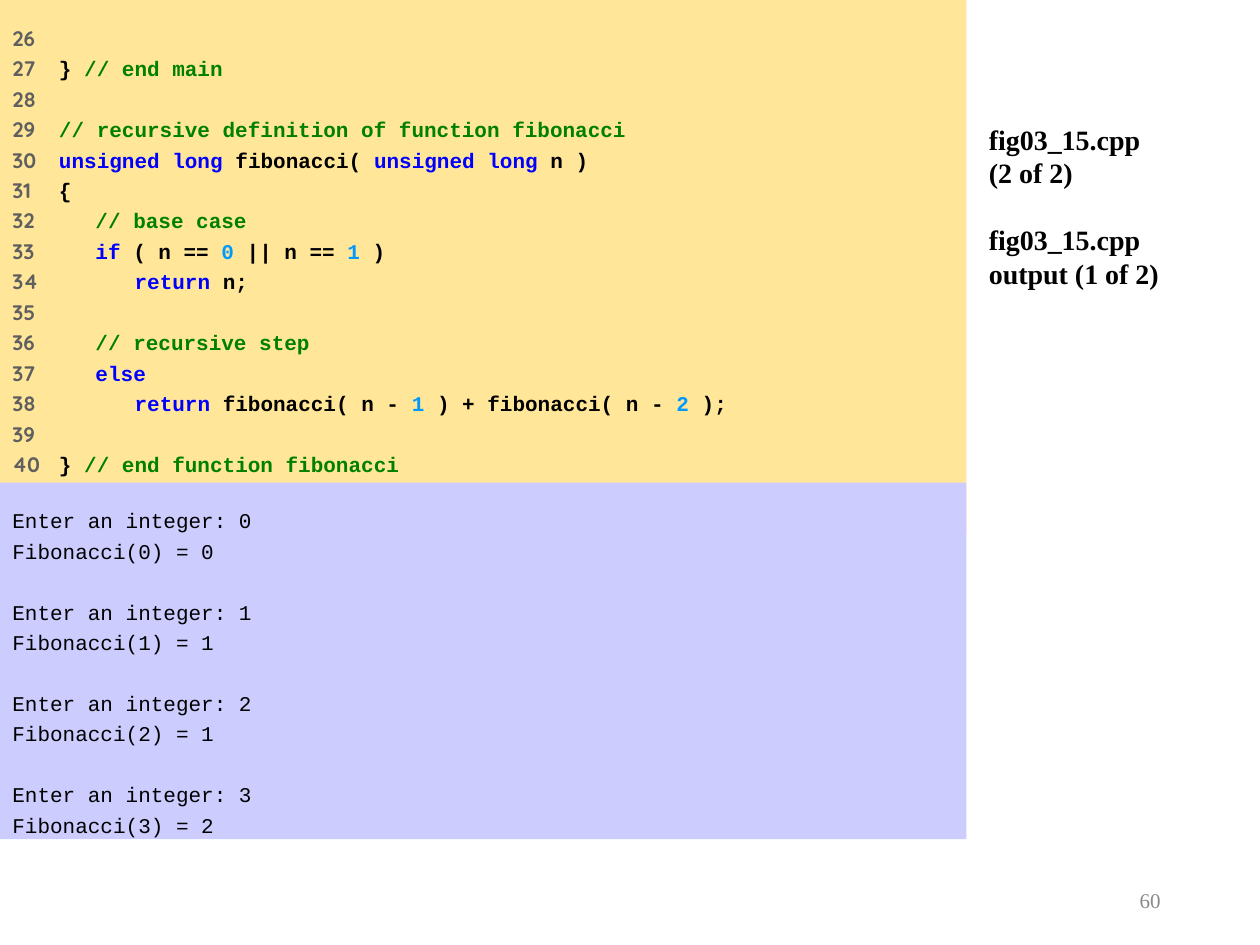
from lxml.etree import SubElement
from pptx import Presentation
from pptx.dml.color import RGBColor
from pptx.enum.shapes import MSO_SHAPE
from pptx.enum.text import MSO_ANCHOR, PP_ALIGN
from pptx.oxml.ns import qn
from pptx.util import Inches, Pt

COLORS = {
    "code_bg": "FFE699", "output_bg": "CCCCFF", "line_no": "5F5F5F",
    "plain": "000000", "comment": "008000", "keyword": "0000FF",
    "number": "0099FF", "page": "898989",
}
MONO, ROUND, SERIF = "Courier New", "Quicksand", "Times New Roman"
FIRST_LINE = 26
CODE_STOPS = (0.37, 0.66, 0.97)

# One entry per line: indent level, then (kind, text) pieces
CODE = [
    (0,),
    (0, ("plain", "} "), ("comment", "// end main")),
    (0,),
    (0, ("comment", "// recursive definition of function fibonacci")),
    (0, ("keyword", "unsigned long"), ("plain", " fibonacci( "),
     ("keyword", "unsigned long"), ("plain", " n )")),
    (0, ("plain", "{")),
    (1, ("comment", "// base case")),
    (1, ("keyword", "if"), ("plain", " ( n == "), ("number", "0"),
     ("plain", " || n == "), ("number", "1"), ("plain", " )")),
    (2, ("keyword", "return"), ("plain", " n;")),
    (0,),
    (1, ("comment", "// recursive step")),
    (1, ("keyword", "else")),
    (2, ("keyword", "return"), ("plain", " fibonacci( n - "), ("number", "1"),
     ("plain", " ) + fibonacci( n - "), ("number", "2"), ("plain", " );")),
    (0,),
    (0, ("plain", "} "), ("comment", "// end function fibonacci")),
]
FIBONACCI = (0, 1, 1, 2)


def set_font(font, name, color, size=12, bold=False):
    font.name, font.size, font.bold = name, Pt(size), bold
    font.color.rgb = RGBColor.from_string(COLORS[color])


def set_tab_stops(p, stops):
    tabs = SubElement(p._p.get_or_add_pPr(), qn("a:tabLst"))
    for stop in stops:
        SubElement(tabs, qn("a:tab"), pos=str(Inches(stop)), algn="l")


class SlideBuilder:
    line_pitch = 1.2  # line height as a multiple of the font size
    gap = 3           # points above each line of a panel

    def __init__(self, slide):
        self.s = slide

    def text_frame(self, sp, inset):
        tf = sp.text_frame
        tf.word_wrap = True
        tf.vertical_anchor = MSO_ANCHOR.TOP
        tf.margin_left = tf.margin_right = Inches(0.1)
        tf.margin_top = tf.margin_bottom = Inches(inset)
        return tf

    def panel(self, top, height, fill):
        sp = self.s.shapes.add_shape(
            MSO_SHAPE.RECTANGLE, 0, Inches(top), Inches(7.67), Inches(height))
        sp.shadow.inherit = False
        sp.fill.solid()
        sp.fill.fore_color.rgb = RGBColor.from_string(COLORS[fill])
        sp.line.fill.background()
        return self.text_frame(sp, 0.2)

    def text_box(self, left, top, width, height):
        sp = self.s.shapes.add_textbox(*map(Inches, (left, top, width, height)))
        return self.text_frame(sp, 0.05)

    def paragraph(self, tf, first, before=0, size=12):
        p = tf.paragraphs[0] if first else tf.add_paragraph()
        p.alignment = PP_ALIGN.LEFT
        p.space_before = Pt(before)
        p.line_spacing = Pt(size * self.line_pitch)
        return p

    def code(self, top, height, lines):
        tf = self.panel(top, height, "code_bg")
        for i, (indent, *pieces) in enumerate(lines):
            p = self.paragraph(tf, i == 0, self.gap)
            set_tab_stops(p, CODE_STOPS)
            r = p.add_run()
            r.text = str(FIRST_LINE + i) + ("\t" * (indent + 1) if pieces else "")
            set_font(r.font, ROUND, "line_no", bold=True)
            for kind, text in pieces:
                r = p.add_run()
                r.text = text
                set_font(r.font, MONO, kind, bold=True)

    def output(self, top, height, values):
        tf = self.panel(top, height, "output_bg")
        group_gap = 2 * self.gap + 12 * self.line_pitch
        for n, value in enumerate(values):
            prompt = self.paragraph(tf, n == 0, group_gap if n else self.gap)
            prompt.text = f"Enter an integer: {n}"
            result = self.paragraph(tf, False, self.gap)
            result.text = f"Fibonacci({n}) = {value}"
            for p in (prompt, result):
                set_font(p.font, MONO, "plain")

    def title(self, captions):
        tf = self.text_box(7.75, 0.92, 2.25, 5.25)
        for i, caption in enumerate(captions):
            p = self.paragraph(tf, i == 0, 16 * self.line_pitch if i else 0, 16)
            p.text = caption
            set_font(p.font, SERIF, "plain", 16, True)

    def page_number(self, number):
        tf = self.text_box(7.06, 6.95, 2.25, 0.4)
        tf.vertical_anchor = MSO_ANCHOR.MIDDLE
        p = tf.paragraphs[0]
        p.text = str(number)
        p.alignment = PP_ALIGN.RIGHT
        p.line_spacing = 0.95
        set_font(p.font, SERIF, "page")


def main():
    prs = Presentation()
    prs.slide_width, prs.slide_height = Inches(10), Inches(7.5)
    builder = SlideBuilder(prs.slides.add_slide(prs.slide_layouts[6]))
    builder.page_number(60)
    builder.title(["fig03_15.cpp\v(2 of 2)", "fig03_15.cpp\voutput (1 of 2)"])
    builder.code(0, 4.22, CODE)
    builder.output(3.83, 2.83, FIBONACCI)
    prs.save("out.pptx")


if __name__ == "__main__":
    main()
